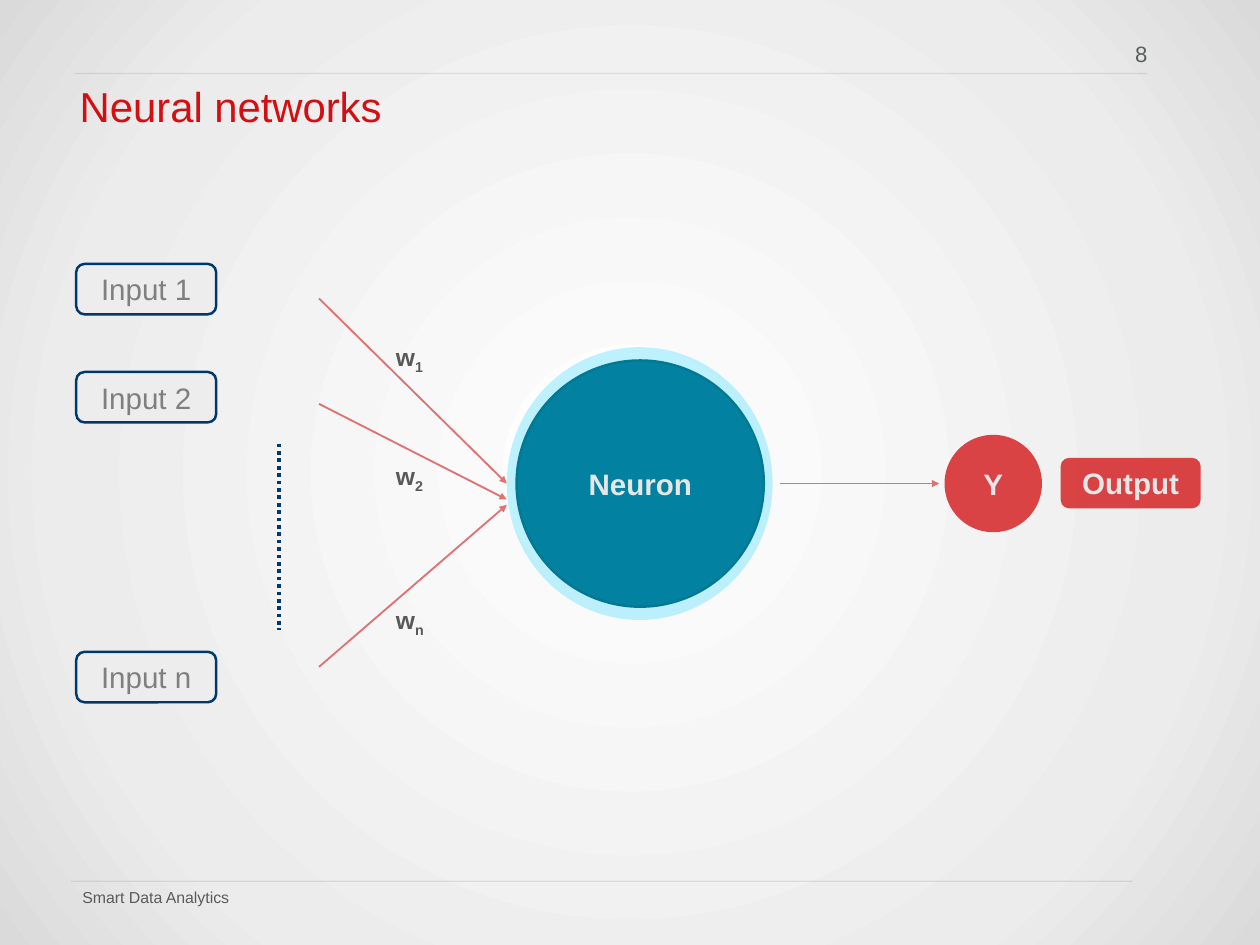
from dataclasses import dataclass

from pptx import Presentation
from pptx.dml.color import RGBColor
from pptx.enum.dml import MSO_LINE
from pptx.enum.shapes import MSO_CONNECTOR, MSO_SHAPE
from pptx.enum.text import MSO_ANCHOR, PP_ALIGN
from pptx.oxml import parse_xml
from pptx.oxml.ns import nsdecls, qn
from pptx.util import Inches, Pt

TITLE = "Neural networks"
FOOTER = "Smart Data Analytics"
PAGE_NUMBER = "8"
# label, top of its box, weight subscript, top of the weight, arrow start y, arrow end y
INPUTS = [
    ("Input 1", 2.98, "1", 3.81, 3.37, 5.46),
    ("Input 2", 4.20, "2", 5.15, 4.56, 5.64),
    ("Input n", 7.36, "n", 6.78, 7.53, 5.70),
]
RULES = [((0.84, 0.83), (12.95, 0.83)), ((0.80, 9.95), (12.78, 9.95))]

LABEL_SIZE = (1.58, 0.57)
INPUT_LEFT = 0.86
WEIGHT_LEFT = 4.37
ARROW_LEFT, ARROW_RIGHT = 3.6, 5.72
AXIS_Y = 5.46
OUTPUT_SIZE = 1.1


@dataclass(frozen=True)
class Theme:
    font: str = "Arial"
    background: tuple = ((0, "FFFFFF"), (73, "ECECEC"), (100, "DADADA"))
    red: str = "D30F11"
    arrow: str = "DF7374"
    navy: str = "00376C"
    input_fill: str = "EDEDED"
    input_text: str = "7F7F7F"
    halo: str = "8CE8FE"
    neuron: str = "0282A0"
    neuron_edge: str = "027894"
    light_text: str = "E7E6E6"
    weight: str = "595959"
    footer: str = "5B5B5B"
    rule: str = "5A5F5E"
    title_size: float = 34
    label_size: float = 24
    weight_size: float = 20
    number_size: float = 18
    footer_size: float = 12.9


THEME = Theme()


def paint_background(page):
    page.background.fill.gradient()
    gradient = page.element.find(".//" + qn("a:gradFill"))
    for child in list(gradient):
        gradient.remove(child)
    stops = "".join(
        f'<a:gs pos="{percent * 1000}"><a:srgbClr val="{color}"/></a:gs>'
        for percent, color in THEME.background
    )
    gradient.append(parse_xml(f"<a:gsLst {nsdecls('a')}>{stops}</a:gsLst>"))
    gradient.append(parse_xml(
        f'<a:path {nsdecls("a")} path="circle">'
        '<a:fillToRect l="50000" t="50000" r="50000" b="50000"/></a:path>'
    ))


def set_opacity(shape, percent):
    """Make the first solid colour of the shape, fill or line, partly transparent."""
    color = shape.element.spPr.find(".//" + qn("a:srgbClr"))
    color.append(parse_xml(f'<a:alpha {nsdecls("a")} val="{percent * 1000}"/>'))


def write(shape, text, *, size, color, bold=False, align=PP_ALIGN.LEFT,
          anchor=MSO_ANCHOR.TOP, insets=(0.1, 0.05), spacing=None, subscript=None):
    frame = shape.text_frame
    frame.word_wrap = True
    frame.vertical_anchor = anchor
    frame.margin_left = frame.margin_right = Inches(insets[0])
    frame.margin_top = frame.margin_bottom = Inches(insets[1])
    para = frame.paragraphs[0]
    para.alignment = align
    if spacing:
        para.line_spacing = spacing
    for part in filter(None, (text, subscript)):
        span = para.add_run()
        span.text = part
        span.font.name = THEME.font
        span.font.size = Pt(size)
        span.font.bold = bold
        span.font.color.rgb = RGBColor.from_string(color)
    if subscript:
        span.font._element.set("baseline", "-25000")


def add_text(page, place, text, **style):
    box = page.shapes.add_textbox(*map(Inches, place))
    write(box, text, **style)


def add_block(page, kind, place, fill, *, edge=None, opacity=None, text=None, **style):
    shape = page.shapes.add_shape(kind, *map(Inches, place))
    shape.shadow.inherit = False
    shape.fill.solid()
    shape.fill.fore_color.rgb = RGBColor.from_string(fill)
    if opacity:
        set_opacity(shape, opacity)
    if edge:
        shape.line.color.rgb = RGBColor.from_string(edge)
        shape.line.width = Pt(2)
    else:
        shape.line.fill.background()
    if text:
        write(shape, text, size=THEME.label_size, align=PP_ALIGN.CENTER,
              anchor=MSO_ANCHOR.MIDDLE, **style)


def add_line(page, start, end, color, width, *, dash=None, opacity=None, arrow=False):
    line = page.shapes.add_connector(
        MSO_CONNECTOR.STRAIGHT, *map(Inches, (*start, *end)))
    line.line.color.rgb = RGBColor.from_string(color)
    line.line.width = Pt(width)
    if dash:
        line.line.dash_style = dash
    if opacity:
        set_opacity(line, opacity)
    properties = line.element.spPr
    if arrow:
        properties.find(qn("a:ln")).append(
            parse_xml(f'<a:tailEnd {nsdecls("a")} type="triangle"/>'))
    properties.append(parse_xml(f"<a:effectLst {nsdecls('a')}/>"))


def add_frame(page):
    """Add the rules, footer, page number and title."""
    for start, end in RULES:
        add_line(page, start, end, THEME.rule, 1, opacity=15)
    tight = (0.04, 0.04)
    add_text(page, (0.89, 10.01, 1.84, 0.31), FOOTER, size=THEME.footer_size,
             color=THEME.footer, insets=tight, spacing=0.9)
    add_text(page, (12.58, 0.45, 0.41, 0.38), PAGE_NUMBER, size=THEME.number_size,
             color=THEME.rule, align=PP_ALIGN.RIGHT, insets=tight, spacing=0.9)
    add_text(page, (0.86, 0.87, 12.11, 0.84), TITLE, size=THEME.title_size,
             color=THEME.red, insets=tight)


def add_network(page):
    white_bold = {"color": THEME.light_text, "bold": True}
    for label, top, *_ in INPUTS:
        add_block(page, MSO_SHAPE.ROUNDED_RECTANGLE, (INPUT_LEFT, top, *LABEL_SIZE),
                  THEME.input_fill, edge=THEME.navy, text=label, color=THEME.input_text)
    add_line(page, (3.15, 5.01), (3.15, 7.11), THEME.navy, 3, dash=MSO_LINE.ROUND_DOT)

    add_block(page, MSO_SHAPE.OVAL, (5.72, 3.92, 3, 3.08), THEME.halo, opacity=57)
    add_block(page, MSO_SHAPE.OVAL, (5.83, 4.07, 2.79, 2.78), THEME.neuron,
              edge=THEME.neuron_edge, text="Neuron", **white_bold)

    for _, _, subscript, weight_top, start_y, end_y in INPUTS:
        add_line(page, (ARROW_LEFT, start_y), (ARROW_RIGHT, end_y),
                 THEME.arrow, 1.5, arrow=True)
        add_text(page, (WEIGHT_LEFT, weight_top, 0.86, 0.44), "w", subscript=subscript,
                 size=THEME.weight_size, color=THEME.weight, bold=True)

    output_top = AXIS_Y - OUTPUT_SIZE / 2
    add_block(page, MSO_SHAPE.OVAL, (10.66, output_top, OUTPUT_SIZE, OUTPUT_SIZE),
              THEME.red, opacity=77, text="Y", **white_bold)
    add_line(page, (8.8, AXIS_Y), (10.6, AXIS_Y), THEME.arrow, 1.5, arrow=True)
    add_block(page, MSO_SHAPE.ROUNDED_RECTANGLE, (11.97, 5.17, *LABEL_SIZE),
              THEME.red, opacity=77, text="Output", **white_bold)


def main():
    deck = Presentation()
    deck.slide_width, deck.slide_height = Inches(14.22), Inches(10.67)
    page = deck.slides.add_slide(deck.slide_layouts[6])
    paint_background(page)
    add_frame(page)
    add_network(page)
    deck.save("out.pptx")


if __name__ == "__main__":
    main()
